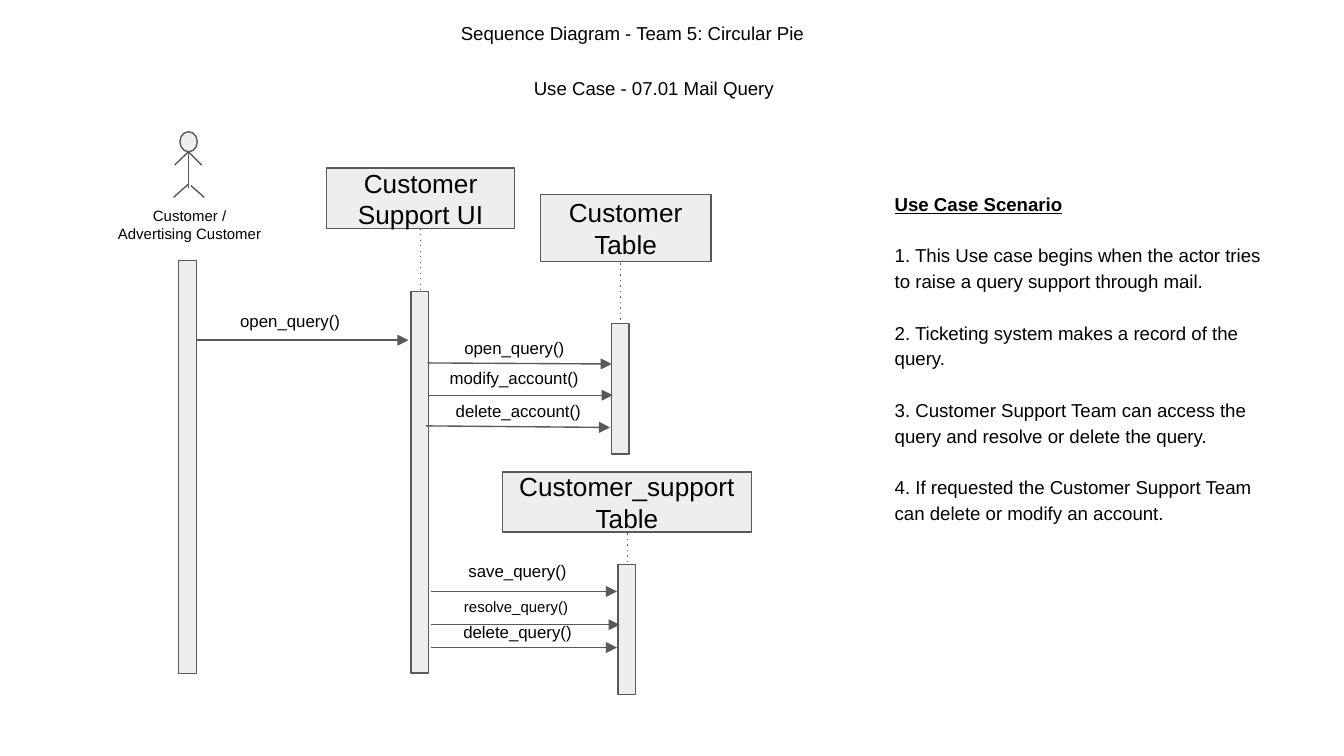
import pptx
import pptx.dml.color
import pptx.enum.shapes
import pptx.enum.text
import pptx.oxml
import pptx.oxml.ns
import pptx.util
from pptx.util import Cm

BLACK = pptx.dml.color.RGBColor(0x00, 0x00, 0x00)
GRAY = pptx.dml.color.RGBColor(0x59, 0x59, 0x59)
PALE = pptx.dml.color.RGBColor(0xEE, 0xEE, 0xEE)
LEFT = pptx.enum.text.PP_ALIGN.LEFT
CENTER = pptx.enum.text.PP_ALIGN.CENTER
MIDDLE = pptx.enum.text.MSO_ANCHOR.MIDDLE
TOP = pptx.enum.text.MSO_ANCHOR.TOP
RECTANGLE = pptx.enum.shapes.MSO_SHAPE.RECTANGLE
OVAL = pptx.enum.shapes.MSO_SHAPE.OVAL
STRAIGHT = pptx.enum.shapes.MSO_CONNECTOR.STRAIGHT


class SequenceDiagram:
    font_name = "Arial"
    line_width = pptx.util.Pt(0.75)
    inset = Cm(0.25)
    bar_width = 0.33

    def __init__(self, slide):
        self.slide = slide

    def fill_text(self, shape, lines, size, align, anchor=TOP, spacing=1.0, gap=0, heading=False):
        frame = shape.text_frame
        frame.word_wrap = True
        frame.vertical_anchor = anchor
        frame.margin_left = frame.margin_right = self.inset
        frame.margin_top = frame.margin_bottom = self.inset
        for index, line in enumerate(lines):
            paragraph = frame.add_paragraph() if index else frame.paragraphs[0]
            paragraph.alignment = align
            paragraph.line_spacing = spacing
            if index and gap:
                paragraph.space_before = pptx.util.Pt(gap)
            run = paragraph.add_run()
            run.text = line
            run.font.name = self.font_name
            run.font.size = pptx.util.Pt(size)
            run.font.color.rgb = BLACK
            if heading and index == 0:
                run.font.bold = True
                run.font.underline = True

    def text(self, left, top, width, height, lines, size, align=CENTER, **style):
        box = self.slide.shapes.add_textbox(Cm(left), Cm(top), Cm(width), Cm(height))
        self.fill_text(box, lines, size, align, **style)

    def shape(self, kind, left, top, width, height):
        shape = self.slide.shapes.add_shape(kind, Cm(left), Cm(top), Cm(width), Cm(height))
        shape.shadow.inherit = False
        shape.fill.solid()
        shape.fill.fore_color.rgb = PALE
        shape.line.color.rgb = GRAY
        shape.line.width = self.line_width
        return shape

    def participant(self, name, left, top, width, height):
        box = self.shape(RECTANGLE, left, top, width, height)
        self.fill_text(box, [name], 14, CENTER, anchor=MIDDLE)

    def activation(self, left, top, height):
        self.shape(RECTANGLE, left, top, self.bar_width, height)

    def line(self, start, end, ending=None):
        connector = self.slide.shapes.add_connector(
            STRAIGHT, Cm(start[0]), Cm(start[1]), Cm(end[0]), Cm(end[1]))
        connector.line.color.rgb = GRAY
        connector.line.width = self.line_width
        properties = connector._element.spPr
        if ending:
            tag, attribute, value = ending
            element = pptx.oxml.parse_xml(
                f'<a:{tag} {pptx.oxml.ns.nsdecls("a")} {attribute}="{value}"/>')
            properties.find(pptx.oxml.ns.qn("a:ln")).append(element)
        properties.append(pptx.oxml.parse_xml(f'<a:effectLst {pptx.oxml.ns.nsdecls("a")}/>'))

    def lifeline(self, x, top, bottom):
        self.line((x, top), (x, bottom), ("prstDash", "val", "dot"))

    def message(self, label, left, top, width, start, end, size=9, align=CENTER, spacing=1.0):
        self.line(start, end, ("tailEnd", "type", "triangle"))
        self.text(left, top, width, 0.89, [label], size, align, spacing=spacing)

    def actor(self, lines):
        neck = (3.56, 2.87)
        for start, end in [
            (neck, (3.56, 3.56)),
            (neck, (3.81, 3.12)),
            (neck, (3.3, 3.12)),
            ((3.56, 3.48), (3.28, 3.73)),
            ((3.61, 3.51), (3.86, 3.73)),
        ]:
            self.line(start, end)
        self.shape(OVAL, 3.4, 2.49, 0.33, 0.38)
        self.text(1.4, 3.66, 4.37, 1.19, lines, 8)


def main():
    presentation = pptx.Presentation()
    presentation.slide_width = Cm(25.4)
    presentation.slide_height = Cm(14.29)
    diagram = SequenceDiagram(presentation.slides.add_slide(presentation.slide_layouts[6]))

    diagram.text(8.46, 0.2, 7.82, 0.94, ["Sequence Diagram - Team 5: Circular Pie"], 10, LEFT)
    diagram.text(9.04, 1.24, 6.63, 0.94, ["Use Case - 07.01 Mail Query"], 10)
    diagram.text(16.66, 3.33, 7.54, 6.83, [
        "Use Case Scenario",
        "1. This Use case begins when the actor tries to raise a query support through mail.",
        "2. Ticketing system makes a record of the query.",
        "3. Customer Support Team can access the query and resolve or delete the query.",
        "4. If requested the Customer Support Team can delete or modify an account.",
    ], 10, LEFT, spacing=1.15, gap=13.8, heading=True)

    diagram.actor(["Customer /", "Advertising Customer"])

    for left, top, height in [
        (3.38, 4.93, 7.8), (7.77, 5.51, 7.21), (11.56, 6.12, 2.46), (11.68, 10.67, 2.46),
    ]:
        diagram.activation(left, top, height)

    diagram.participant("Customer Support UI", 6.17, 3.18, 3.56, 1.14)
    diagram.participant("Customer Table", 10.21, 3.68, 3.23, 1.27)
    diagram.participant("Customer_support Table", 9.5, 8.92, 4.7, 1.14)

    for x, top, bottom in [(7.95, 4.32, 5.51), (11.73, 4.98, 6.12), (11.86, 10.08, 10.67)]:
        diagram.lifeline(x, top, bottom)

    diagram.message("open_query()", 4.29, 5.69, 3.61, (3.73, 6.43), (7.72, 6.43), align=LEFT)
    diagram.message("resolve_query()", 7.8, 11.05, 3.91, (8.15, 11.81), (11.71, 11.81),
                    size=8, spacing=1.15)
    for label, left, top, width, start, end in [
        ("open_query()", 8.26, 6.2, 2.92, (8.08, 6.86), (11.56, 6.88)),
        ("modify_account()", 7.9, 6.76, 3.63, (8.1, 7.47), (11.58, 7.47)),
        ("delete_account()", 8.18, 7.39, 3.23, (8.05, 8.05), (11.53, 8.08)),
        ("save_query()", 7.9, 10.41, 3.76, (8.15, 11.18), (11.66, 11.18)),
        ("delete_query()", 7.9, 11.56, 3.76, (8.15, 12.24), (11.66, 12.24)),
    ]:
        diagram.message(label, left, top, width, start, end)

    presentation.save("out.pptx")


if __name__ == "__main__":
    main()
